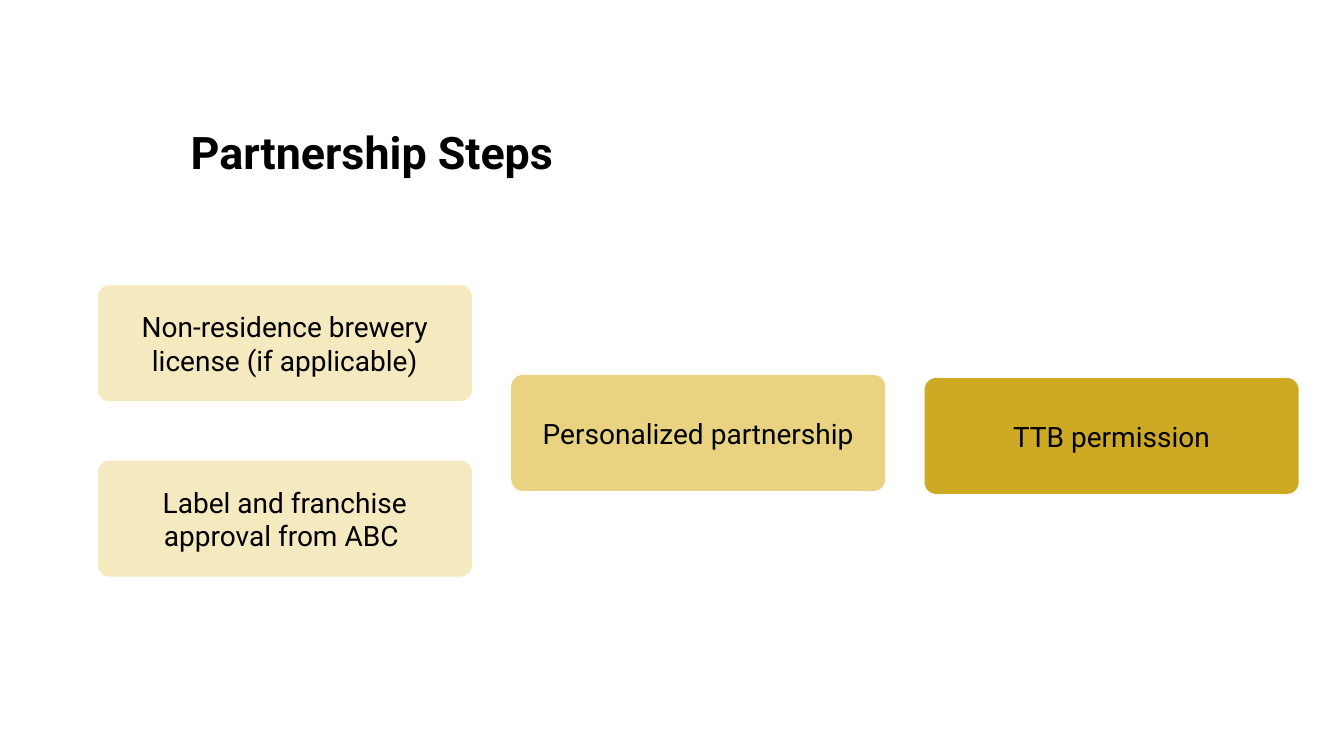
from pptx import Presentation
from pptx.dml.color import RGBColor
from pptx.enum.shapes import MSO_SHAPE
from pptx.enum.text import MSO_ANCHOR, PP_ALIGN
from pptx.util import Emu, Pt

PX = 9144  # 100 px to the inch


def px(n):
    return Emu(n * PX)


def rgb(value):
    return RGBColor.from_string(value)


class Deck:
    font = "Roboto"
    ink = "000000"

    def __init__(self, prs):
        # Layout 5 has only a title
        self.s = prs.slides.add_slide(prs.slide_layouts[5])

    def add_text(self, tf, text, size, align, bold=False):
        tf.word_wrap = True
        tf.vertical_anchor = MSO_ANCHOR.MIDDLE
        p = tf.paragraphs[0]
        p.alignment = align
        r = p.add_run()
        r.text = text
        r.font.name = self.font
        r.font.size = Pt(size)
        r.font.bold = bold
        r.font.color.rgb = rgb(self.ink)

    def title(self, text, x, y, w, h):
        sp = self.s.shapes.title
        sp.left, sp.top, sp.width, sp.height = map(px, (x, y, w, h))
        self.add_text(sp.text_frame, text, 32, PP_ALIGN.LEFT, bold=True)

    def card(self, text, x, y, w, h, fill):
        sp = self.s.shapes.add_shape(
            MSO_SHAPE.ROUNDED_RECTANGLE, *map(px, (x, y, w, h)))
        sp.adjustments[0] = 0.1
        sp.shadow.inherit = False
        sp.fill.solid()
        sp.fill.fore_color.rgb = rgb(fill)
        sp.line.fill.background()
        self.add_text(sp.text_frame, text, 20, PP_ALIGN.CENTER)


def main():
    prs = Presentation()
    prs.slide_width, prs.slide_height = px(1333), px(750)
    deck = Deck(prs)

    # Title
    deck.title("Partnership Steps", 179, 75, 975, 150)

    # Steps: column, top, text
    left, pitch, width, height = 97, 410, 371, 115
    fills = ["F4E9BF", "E9D381", "CEAA24"]
    steps = [
        (0, 283, "Non-residence brewery license (if applicable)"),
        (0, 457, "Label and franchise approval from ABC "),
        (1, 372, "Personalized partnership"),
        (2, 375, "TTB permission"),
    ]
    for col, top, text in steps:
        deck.card(text, left + col * pitch, top, width, height, fills[col])

    prs.save("out.pptx")


if __name__ == "__main__":
    main()
